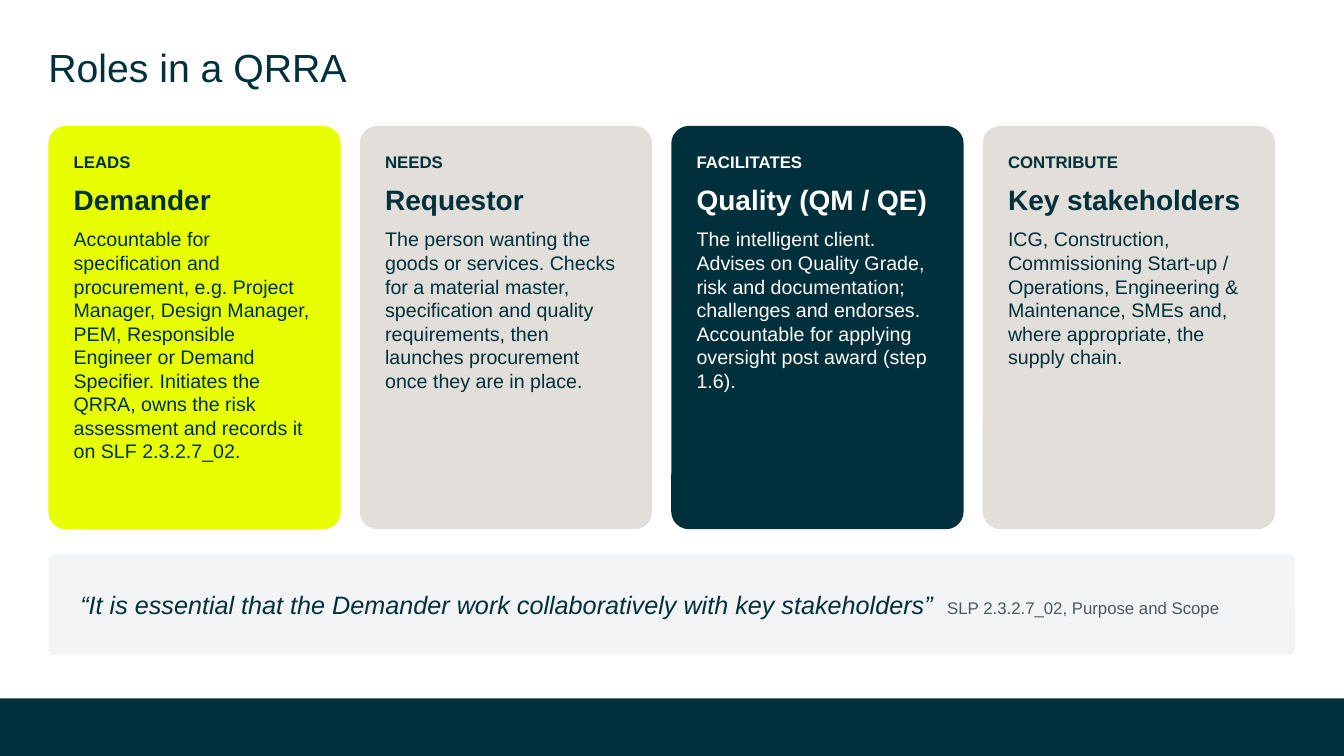
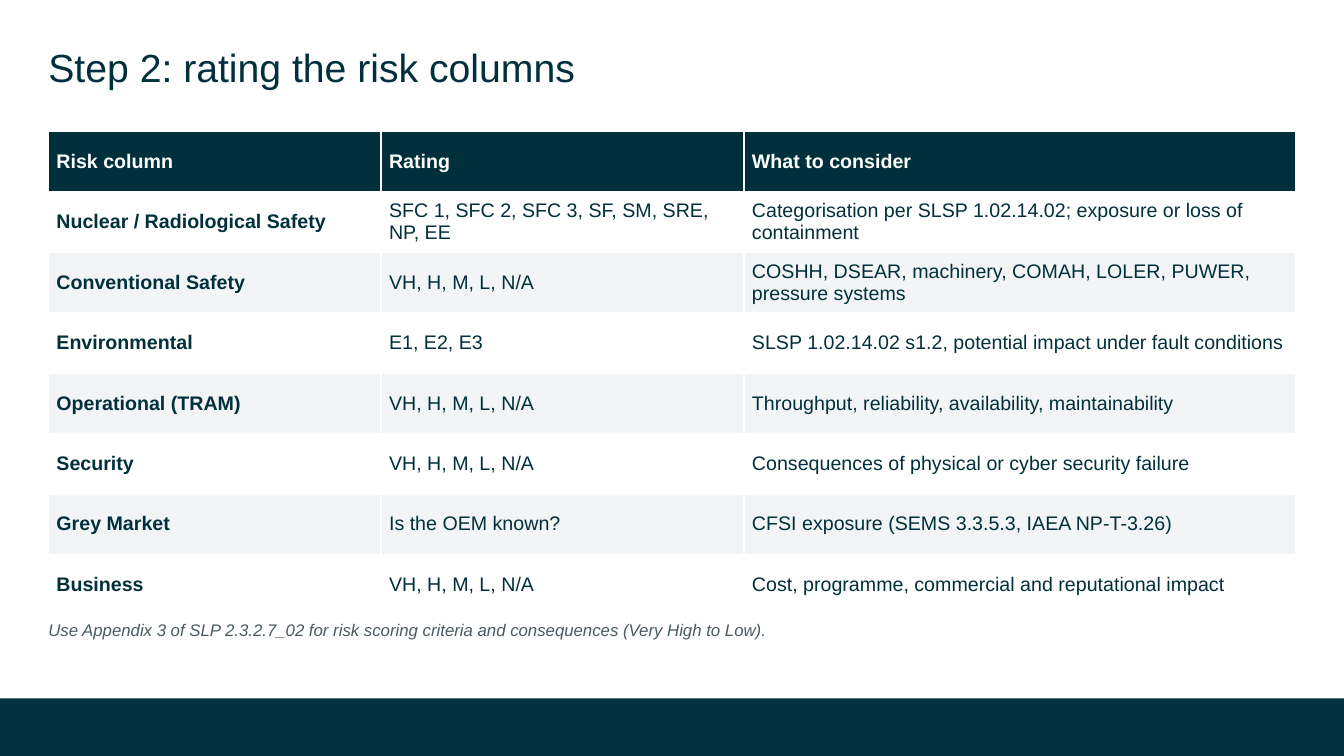
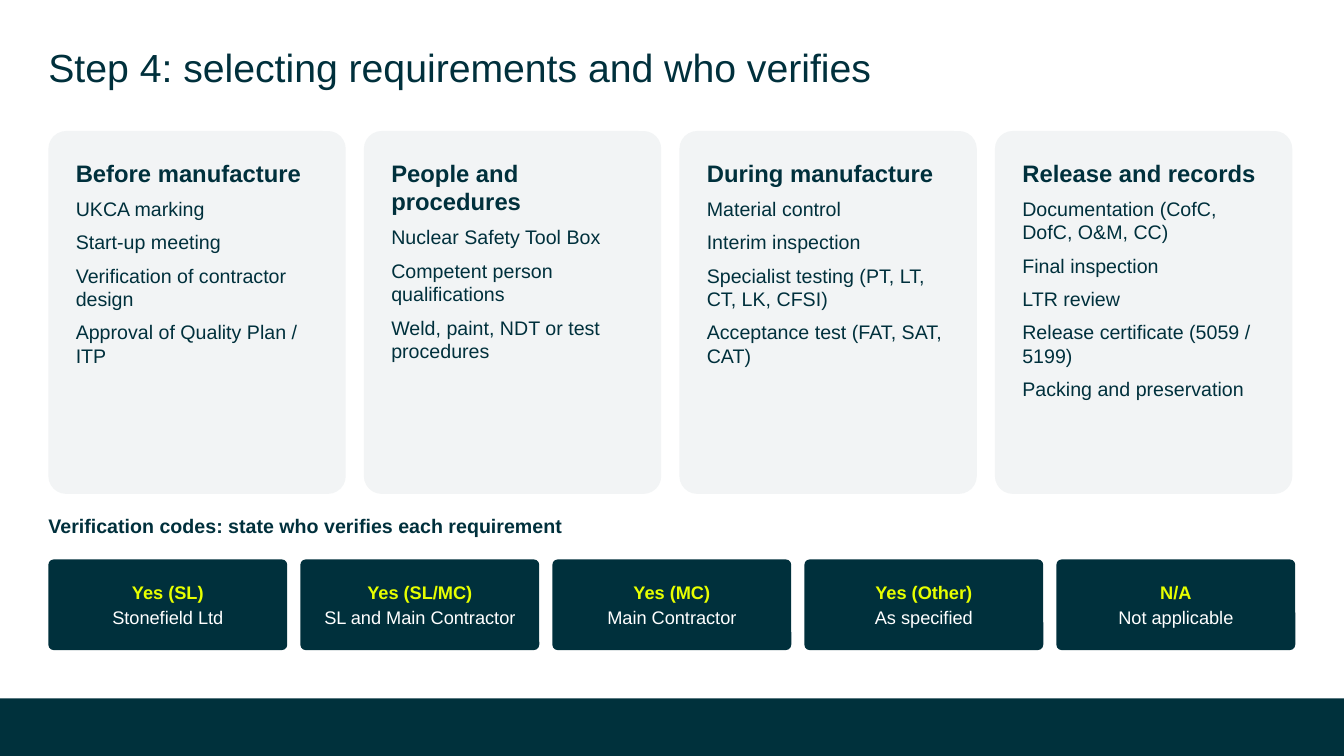
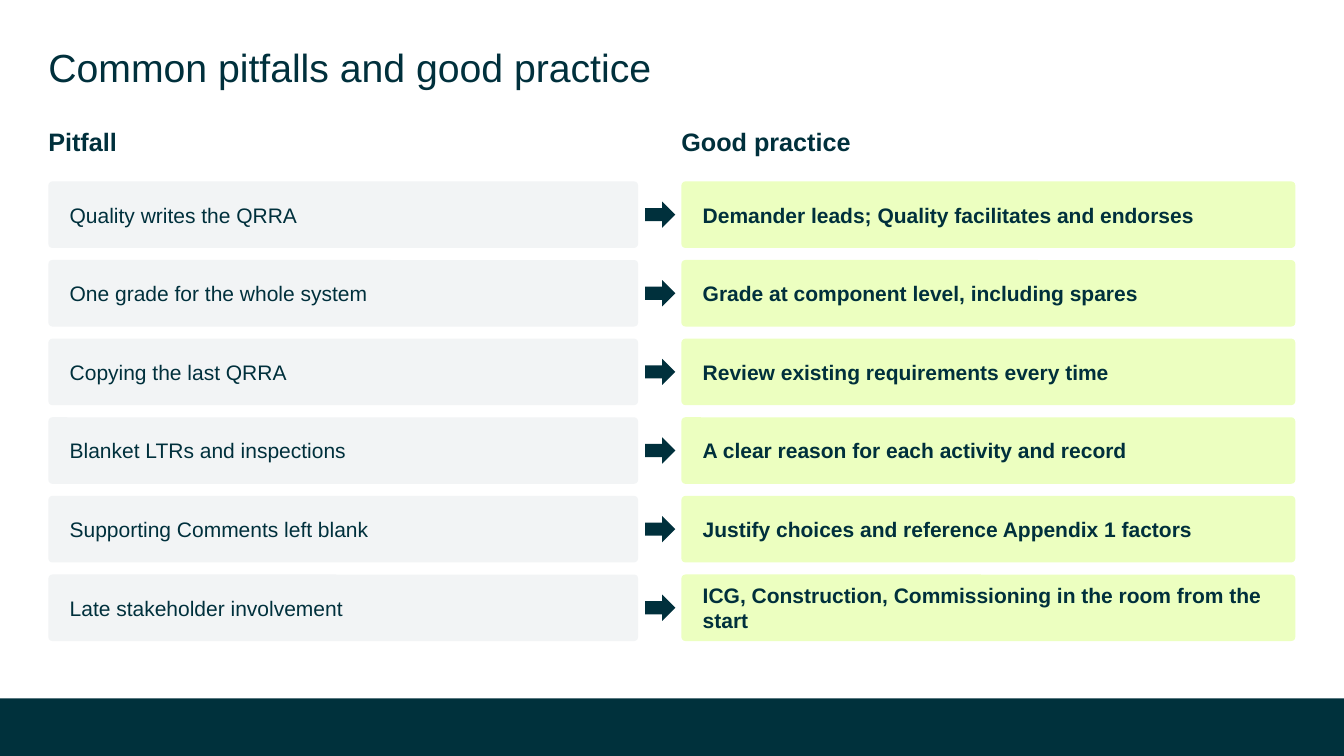
from dataclasses import dataclass

from lxml import etree
from pptx import Presentation, util as u
from pptx.dml.color import RGBColor
from pptx.enum import shapes, text
from pptx.oxml import ns

BAND = RGBColor(0x00, 0x31, 0x3C)
INK = RGBColor(0x00, 0x30, 0x3C)
LIME = RGBColor(0xE7, 0xFF, 0x00)
PALE_LIME = RGBColor(0xEC, 0xFF, 0xC0)
STONE = RGBColor(0xE2, 0xDE, 0xD9)
MIST = RGBColor(0xF2, 0xF4, 0xF5)
SLATE = RGBColor(0x4A, 0x5A, 0x60)
WHITE = RGBColor(0xFF, 0xFF, 0xFF)

CELL = 0.1
GRID_WIDTH, GRID_HEIGHT = 133.33, 75
LEFT, SPAN = 4.8, 123.7
TITLE_ONLY = 5


def cells(*counts):
    return [u.Inches(count * CELL) for count in counts]


def columns(count, gap, span=SPAN):
    width = (span - gap * (count - 1)) / count
    return [(LEFT + index * (width + gap), width) for index in range(count)]


@dataclass
class Line:
    text: str
    size: float
    color: RGBColor = INK
    bold: bool = False
    italic: bool = False

    def style(self, font):
        font.name = "Arial"
        font.size = u.Pt(self.size)
        font.bold = self.bold
        font.italic = self.italic
        font.color.rgb = self.color


class Deck:
    def __init__(self):
        self.presentation = Presentation()
        self.presentation.slide_width, self.presentation.slide_height = cells(
            GRID_WIDTH, GRID_HEIGHT)
        self.slide = None

    def add_slide(self, title):
        layout = self.presentation.slide_layouts[TITLE_ONLY]
        self.slide = self.presentation.slides.add_slide(layout)
        self.shape((0, 69.3, GRID_WIDTH, 5.7), BAND, shapes.MSO_SHAPE.RECTANGLE)
        shape = self.slide.shapes.title
        shape.left, shape.top, shape.width, shape.height = cells(LEFT, 4.3, 92.1, 3.7)
        self.set_lines(shape.text_frame, [Line(title, 28)])

    def set_lines(self, frame, lines, inset=0, after=0, middle=False, centred=False):
        frame.word_wrap = True
        frame.auto_size = text.MSO_AUTO_SIZE.NONE
        frame.vertical_anchor = text.MSO_ANCHOR.MIDDLE if middle else text.MSO_ANCHOR.TOP
        frame.margin_left, frame.margin_top, frame.margin_right, frame.margin_bottom = (
            cells(*[inset] * 4))
        for index, line in enumerate(lines):
            paragraph = frame.add_paragraph() if index else frame.paragraphs[0]
            paragraph.text = line.text
            paragraph.alignment = text.PP_ALIGN.CENTER if centred else text.PP_ALIGN.LEFT
            paragraph.space_after = u.Pt(after)
            line.style(paragraph.font)

    def shape(self, box, fill, kind=shapes.MSO_SHAPE.ROUNDED_RECTANGLE):
        shape = self.slide.shapes.add_shape(kind, *cells(*box))
        shape.shadow.inherit = False
        shape.fill.solid()
        shape.fill.fore_color.rgb = fill
        shape.line.fill.background()
        if kind == shapes.MSO_SHAPE.ROUNDED_RECTANGLE:
            shape.adjustments[0] = 0.06
        return shape

    def card(self, box, fill, lines, **layout):
        self.set_lines(self.shape(box, fill).text_frame, lines, **layout)

    def label(self, box, line):
        self.set_lines(self.slide.shapes.add_textbox(*cells(*box)).text_frame, [line], after=6)

    def quote(self, box, quote, source, tab):
        frame = self.shape(box, MIST).text_frame
        self.set_lines(frame, [Line("", quote.size)], inset=3, after=4, middle=True)
        paragraph = frame.paragraphs[0]
        properties = paragraph._p.get_or_add_pPr()
        tabs = etree.Element(ns.qn("a:tabLst"))
        etree.SubElement(tabs, ns.qn("a:tab"), pos=str(cells(tab)[0]), algn="l")
        properties.find(ns.qn("a:defRPr")).addprevious(tabs)
        for line, content in ((quote, quote.text), (source, "\t" + source.text)):
            run = paragraph.add_run()
            run.text = content
            line.style(run.font)

    def table(self, top, widths, row_height, rows):
        table = self.slide.shapes.add_table(
            len(rows), len(widths),
            *cells(LEFT, top, sum(widths), row_height * len(rows))).table
        for column, width in zip(table.columns, cells(*widths)):
            column.width = width
        for r, row in enumerate(rows):
            table.rows[r].height = cells(row_height)[0]
            fill = INK if r == 0 else WHITE if r % 2 else MIST
            for c, content in enumerate(row):
                line = Line(content, 14, INK if r else WHITE, bold=r == 0 or c == 0)
                self.table_cell(table.cell(r, c), line, fill)

    def table_cell(self, cell, line, fill):
        cell.text = line.text
        line.style(cell.text_frame.paragraphs[0].font)
        cell.vertical_anchor = text.MSO_ANCHOR.MIDDLE
        cell.margin_left, cell.margin_right, cell.margin_top, cell.margin_bottom = cells(
            0.8, 0.8, 0.4, 0.4)
        properties = cell._tc.get_or_add_tcPr()
        for side in ("lnL", "lnR", "lnT", "lnB"):
            border = etree.SubElement(properties, ns.qn("a:" + side), w=str(u.Pt(1)))
            solid = etree.SubElement(border, ns.qn("a:solidFill"))
            etree.SubElement(solid, ns.qn("a:srgbClr"), val=str(WHITE))
        cell.fill.solid()
        cell.fill.fore_color.rgb = fill


def roles(deck):
    deck.add_slide("Roles in a QRRA")
    cards = [
        ("LEADS", "Demander",
         "Accountable for specification and procurement, e.g. Project Manager, Design "
         "Manager, PEM, Responsible Engineer or Demand Specifier. Initiates the QRRA, owns "
         "the risk assessment and records it on SLF 2.3.2.7_02.", LIME, INK),
        ("NEEDS", "Requestor",
         "The person wanting the goods or services. Checks for a material master, "
         "specification and quality requirements, then launches procurement once they are "
         "in place.", STONE, INK),
        ("FACILITATES", "Quality (QM / QE)",
         "The intelligent client. Advises on Quality Grade, risk and documentation; "
         "challenges and endorses. Accountable for applying oversight post award "
         "(step 1.6).", INK, WHITE),
        ("CONTRIBUTE", "Key stakeholders",
         "ICG, Construction, Commissioning Start-up / Operations, Engineering & "
         "Maintenance, SMEs and, where appropriate, the supply chain.", STONE, INK),
    ]
    for (left, width), (verb, role, duty, fill, color) in zip(columns(4, 1.9, 121.7), cards):
        lines = [Line(verb, 12, color, True), Line(role, 20, color, True),
                 Line(duty, 14, color)]
        deck.card((left, 12.5, width, 40), fill, lines, inset=2, after=8)
    deck.quote(
        (LEFT, 55, SPAN, 10),
        Line("“It is essential that the Demander work collaboratively with key "
             "stakeholders”", 18, italic=True),
        Line("SLP 2.3.2.7_02, Purpose and Scope", 12, SLATE), tab=86)


def risk_columns(deck):
    deck.add_slide("Step 2: rating the risk columns")
    scale = "VH, H, M, L, N/A"
    deck.table(13, (33, 36, 54.7), 6, [
        ("Risk column", "Rating", "What to consider"),
        ("Nuclear / Radiological Safety", "SFC 1, SFC 2, SFC 3, SF, SM, SRE, NP, EE",
         "Categorisation per SLSP 1.02.14.02; exposure or loss of containment"),
        ("Conventional Safety", scale,
         "COSHH, DSEAR, machinery, COMAH, LOLER, PUWER, pressure systems"),
        ("Environmental", "E1, E2, E3",
         "SLSP 1.02.14.02 s1.2, potential impact under fault conditions"),
        ("Operational (TRAM)", scale,
         "Throughput, reliability, availability, maintainability"),
        ("Security", scale, "Consequences of physical or cyber security failure"),
        ("Grey Market", "Is the OEM known?",
         "CFSI exposure (SEMS 3.3.5.3, IAEA NP-T-3.26)"),
        ("Business", scale, "Cost, programme, commercial and reputational impact"),
    ])
    deck.label((LEFT, 61.5, SPAN, 3.5), Line(
        "Use Appendix 3 of SLP 2.3.2.7_02 for risk scoring criteria and consequences "
        "(Very High to Low).", 12, SLATE, italic=True))


def requirements(deck):
    deck.add_slide("Step 4: selecting requirements and who verifies")
    stages = [
        ("Before manufacture", "UKCA marking", "Start-up meeting",
         "Verification of contractor design", "Approval of Quality Plan / ITP"),
        ("People and procedures", "Nuclear Safety Tool Box",
         "Competent person qualifications", "Weld, paint, NDT or test procedures"),
        ("During manufacture", "Material control", "Interim inspection",
         "Specialist testing (PT, LT, CT, LK, CFSI)", "Acceptance test (FAT, SAT, CAT)"),
        ("Release and records", "Documentation (CofC, DofC, O&M, CC)", "Final inspection",
         "LTR review", "Release certificate (5059 / 5199)", "Packing and preservation"),
    ]
    for (left, width), (stage, *items) in zip(columns(4, 1.8, 123.4), stages):
        lines = [Line(stage, 17, bold=True)] + [Line(item, 14) for item in items]
        deck.card((left, 13, width, 36), MIST, lines, inset=2.2, after=7)

    deck.label((LEFT, 51, 60, 3.5), Line(
        "Verification codes: state who verifies each requirement", 14, bold=True))
    codes = [
        ("Yes (SL)", "Stonefield Ltd"),
        ("Yes (SL/MC)", "SL and Main Contractor"),
        ("Yes (MC)", "Main Contractor"),
        ("Yes (Other)", "As specified"),
        ("N/A", "Not applicable"),
    ]
    for (left, width), (code, verifier) in zip(columns(5, 1.3), codes):
        lines = [Line(code, 13, LIME, True), Line(verifier, 13, WHITE)]
        deck.card((left, 55.5, width, 9), INK, lines,
                  inset=1.2, after=2, middle=True, centred=True)


def pitfalls(deck):
    deck.add_slide("Common pitfalls and good practice")
    right = 67.6
    for left, heading in ((LEFT, "Pitfall"), (right, "Good practice")):
        deck.label((left, 12.5, 60, 4), Line(heading, 18, bold=True))
    pairs = [
        ("Quality writes the QRRA", "Demander leads; Quality facilitates and endorses"),
        ("One grade for the whole system", "Grade at component level, including spares"),
        ("Copying the last QRRA", "Review existing requirements every time"),
        ("Blanket LTRs and inspections", "A clear reason for each activity and record"),
        ("Supporting Comments left blank",
         "Justify choices and reference Appendix 1 factors"),
        ("Late stakeholder involvement",
         "ICG, Construction, Commissioning in the room from the start"),
    ]
    layout = dict(inset=2, after=4, middle=True)
    for index, (pitfall, practice) in enumerate(pairs):
        top = 18 + index * 7.8
        deck.card((LEFT, top, 58.5, 6.6), MIST, [Line(pitfall, 15)], **layout)
        deck.shape((64, top + 2, 3, 2.6), INK, shapes.MSO_SHAPE.RIGHT_ARROW)
        deck.card((right, top, LEFT + SPAN - right, 6.6), PALE_LIME,
                  [Line(practice, 15, bold=True)], **layout)


def main():
    deck = Deck()
    for build in (roles, risk_columns, requirements, pitfalls):
        build(deck)
    deck.presentation.save("out.pptx")


if __name__ == "__main__":
    main()
